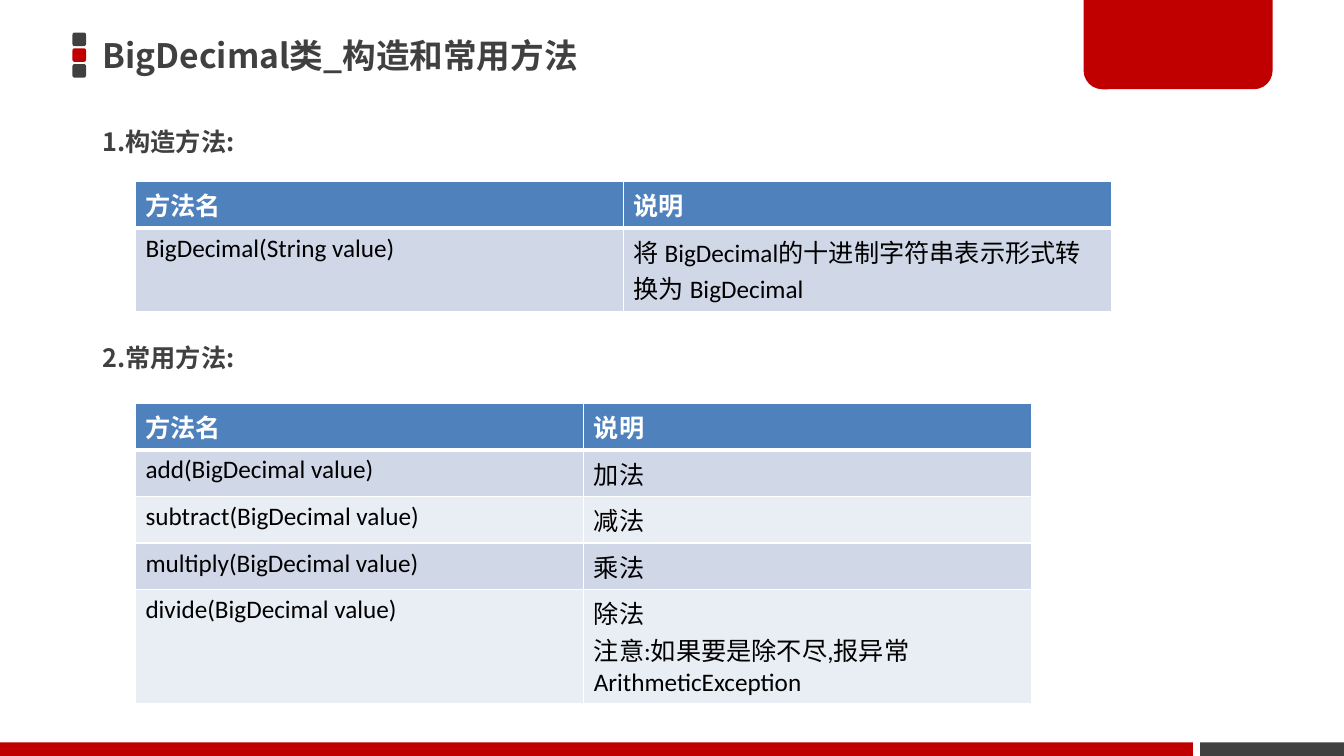
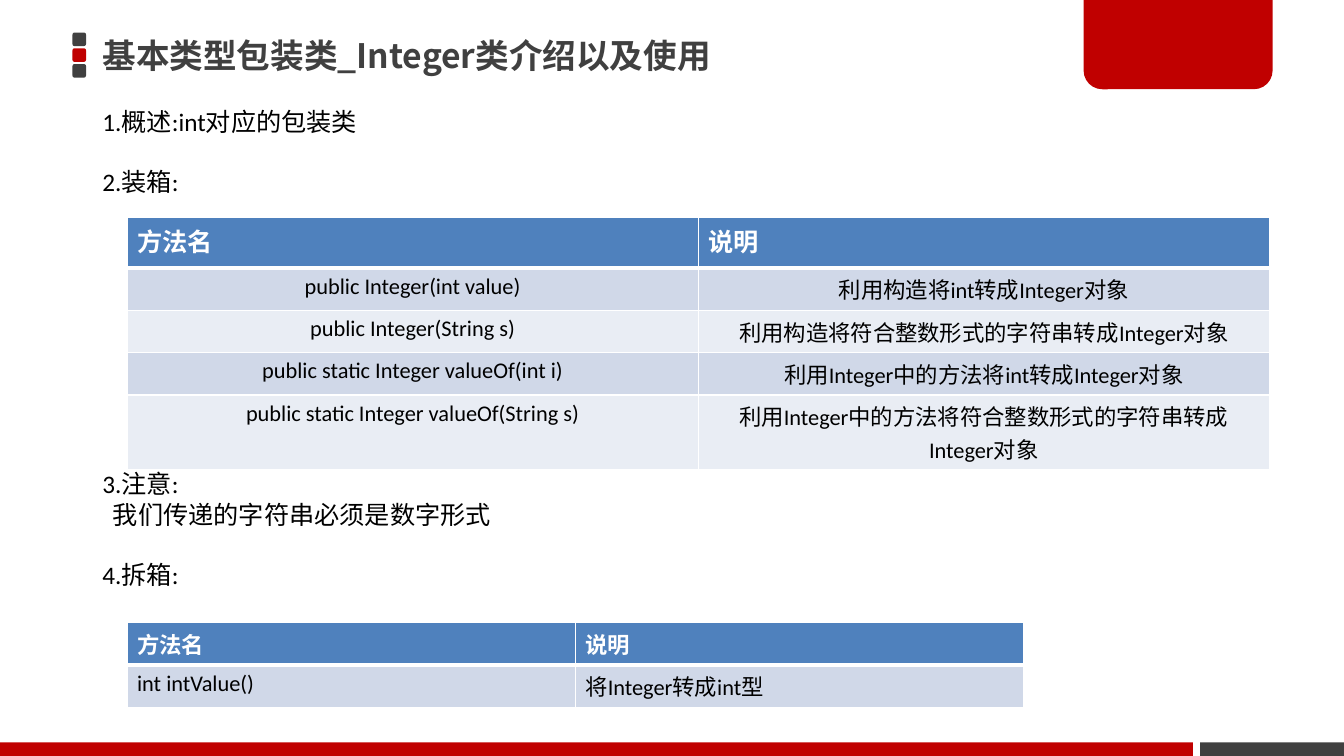
from dataclasses import dataclass

from lxml import etree
from pptx import Presentation
from pptx import util as u
from pptx.dml.color import RGBColor
from pptx.enum import shapes, text
from pptx.oxml import ns

PX = 9525
COLORS = {
    "dark": "404040",
    "red": "C00000",
    "white": "FFFFFF",
    "black": "000000",
    "header": "4F81BD",
    "band": "D0D8E8",
    "pale": "E9EDF4",
}
CJK = "Noto Sans CJK JP"
LATIN = "Calibri"
LINE_PT = 21.6
HEADER = ("方法名", "说明")


@dataclass(frozen=True)
class Box:
    x: int
    y: int
    w: int
    h: int


@dataclass(frozen=True)
class Style:
    size: int
    color: str
    font: str = LATIN
    bold: bool = False


@dataclass(frozen=True)
class Block:
    shape: shapes.MSO_SHAPE
    box: Box
    color: str
    adjustments: tuple[float, ...] = ()


@dataclass(frozen=True)
class Item:
    words: str
    gap_lines: int = 0
    indent: int = 0


@dataclass(frozen=True)
class ListBox:
    box: Box
    items: tuple[Item, ...]
    style: Style
    anchor: text.MSO_ANCHOR
    line_pt: float | None = None


@dataclass(frozen=True)
class MethodTable:
    box: Box
    rows: tuple[tuple[str, str], ...]
    header_size: int = 18
    body_size: int = 18
    header_height: int = 39
    align: text.PP_ALIGN = text.PP_ALIGN.LEFT


@dataclass(frozen=True)
class Page:
    title: str
    lists: tuple[ListBox, ...]
    tables: tuple[MethodTable, ...]


MS = shapes.MSO_SHAPE
DECOR = (
    *(Block(MS.ROUNDED_RECTANGLE, Box(69, 31 + 15 * i, 13, 13), color, (0.17,))
      for i, color in enumerate(("dark", "red", "dark"))),
    Block(MS.RECTANGLE, Box(1143, 707, 137, 13), "dark"),
    Block(MS.ROUND_2_SAME_RECTANGLE, Box(1032, 0, 180, 85), "red", (0, 0.21)),
    Block(MS.RECTANGLE, Box(0, 707, 1136, 13), "red"),
)
TITLE_BOX = Box(88, 25, 921, 55)
TITLE = Style(24, "dark", CJK, True)
SECTION = Style(18, "dark", CJK, True)
PLAIN = Style(18, "black")


def section(words: str, y: int) -> ListBox:
    return ListBox(Box(88, y, 1034, 55), (Item(words),), SECTION, text.MSO_ANCHOR.MIDDLE)


PAGES = (
    Page(
        "BigDecimal类_构造和常用方法",
        (section("1.构造方法:", 107), section("2.常用方法:", 313)),
        (
            MethodTable(Box(129, 173, 930, 107), (
                ("BigDecimal(String value)",
                 "将 BigDecimal的十进制字符串表示形式转换为 BigDecimal"),
            )),
            MethodTable(Box(129, 384, 854, 252), (
                ("add(BigDecimal value)", "加法"),
                ("subtract(BigDecimal value)", "减法"),
                ("multiply(BigDecimal value)", "乘法"),
                ("divide(BigDecimal value)",
                 "除法\n注意:如果要是除不尽,报异常ArithmeticException"),
            )),
        ),
    ),
    Page(
        "基本类型包装类_Integer类介绍以及使用",
        (
            ListBox(Box(88, 96, 733, 475), (
                Item("1.概述:int对应的包装类"),
                Item("2.装箱:", 1),
                Item("3.注意:", 9),
                Item("我们传递的字符串必须是数字形式", indent=10),
                Item("4.拆箱:", 1),
            ), PLAIN, text.MSO_ANCHOR.TOP, LINE_PT),
        ),
        (
            MethodTable(Box(121, 207, 1088, 226), (
                ("public Integer(int value)", "利用构造将int转成Integer对象"),
                ("public Integer(String s)",
                 "利用构造将符合整数形式的字符串转成Integer对象"),
                ("public static Integer valueOf(int i)",
                 "利用Integer中的方法将int转成Integer对象"),
                ("public static Integer valueOf(String s)",
                 "利用Integer中的方法将符合整数形式的字符串转成Integer对象"),
            ), body_size=16, header_height=48, align=text.PP_ALIGN.CENTER),
            MethodTable(Box(121, 593, 854, 78), (
                ("int intValue()", "将Integer转成int型"),
            ), header_size=16, body_size=16),
        ),
    ),
)


def rgb(name: str) -> RGBColor:
    return RGBColor.from_string(COLORS[name])


def emu(box: Box) -> tuple[int, int, int, int]:
    return box.x * PX, box.y * PX, box.w * PX, box.h * PX


def place(sp, box: Box) -> None:
    sp.left, sp.top, sp.width, sp.height = emu(box)


def format_runs(p, style: Style, align: text.PP_ALIGN = text.PP_ALIGN.LEFT) -> None:
    p.alignment = align
    for r in p.runs:
        r.font.size = u.Pt(style.size)
        r.font.bold = style.bold
        r.font.name = style.font
        r.font.color.rgb = rgb(style.color)
        ea = etree.SubElement(r.font._element, ns.qn("a:ea"))
        ea.set("typeface", CJK)


def paint_layout(slide) -> None:
    tree = slide.slide_layout.shapes.element
    for number, block in enumerate(DECOR, 100):
        sp = slide.shapes.add_shape(block.shape, *emu(block.box))
        sp.shadow.inherit = False
        sp.fill.solid()
        sp.fill.fore_color.rgb = rgb(block.color)
        sp.line.fill.background()
        for i, value in enumerate(block.adjustments):
            sp.adjustments[i] = value
        sp.element.xpath("./p:nvSpPr/p:cNvPr")[0].set("id", str(number))
        tree.append(sp.element)


def fill_title(sp, words: str) -> None:
    place(sp, TITLE_BOX)
    tf = sp.text_frame
    tf.text = words
    tf.vertical_anchor = text.MSO_ANCHOR.MIDDLE
    tf.auto_size = text.MSO_AUTO_SIZE.NONE
    format_runs(tf.paragraphs[0], TITLE)


def fill_list(sp, spec: ListBox) -> None:
    place(sp, spec.box)
    tf = sp.text_frame
    tf.text = "\n".join(item.words for item in spec.items)
    tf.word_wrap = True
    tf.vertical_anchor = spec.anchor
    tf.auto_size = text.MSO_AUTO_SIZE.NONE
    for p, item in zip(tf.paragraphs, spec.items):
        format_runs(p, spec.style)
        p.space_before = u.Pt(item.gap_lines * LINE_PT)
        if spec.line_pt:
            p.line_spacing = u.Pt(spec.line_pt)
        pr = p._p.get_or_add_pPr()
        pr.set("marL", str(item.indent * PX))
        pr.set("indent", "0")
        etree.SubElement(pr, ns.qn("a:buNone"))


def add_borders(cell, bottom_pt: int) -> None:
    pr = cell._tc.get_or_add_tcPr()
    for side, points in (("L", 1), ("R", 1), ("T", 1), ("B", bottom_pt)):
        line = etree.SubElement(pr, ns.qn(f"a:ln{side}"), w=str(u.Pt(points)))
        fill = etree.SubElement(line, ns.qn("a:solidFill"))
        etree.SubElement(fill, ns.qn("a:srgbClr"), val=COLORS["white"])


def draw_table(slide, spec: MethodTable) -> None:
    rows = (HEADER, *spec.rows)
    frame = slide.shapes.add_table(len(rows), len(HEADER), *emu(spec.box))
    table = frame.table
    for i, words in enumerate(rows):
        is_header = i == 0
        table.rows[i].height = (spec.header_height if is_header else 39) * PX
        fill = "header" if is_header else ("band" if i % 2 else "pale")
        style = (Style(spec.header_size, "white", bold=True) if is_header
                 else Style(spec.body_size, "black"))
        for cell, value in zip(table.rows[i].cells, words):
            add_borders(cell, 3 if is_header else 1)
            cell.fill.solid()
            cell.fill.fore_color.rgb = rgb(fill)
            cell.text_frame.text = value
            for p in cell.text_frame.paragraphs:
                format_runs(p, style, text.PP_ALIGN.LEFT if is_header else spec.align)
    frame.height = spec.box.h * PX


def draw_page(slide, page: Page) -> None:
    fill_title(slide.shapes.title, page.title)
    bodies = [sp for sp in slide.placeholders if sp.placeholder_format.idx > 0]
    for sp, spec in zip(bodies, page.lists):
        fill_list(sp, spec)
    for sp in bodies[len(page.lists):]:
        sp.element.getparent().remove(sp.element)
    for spec in page.tables:
        draw_table(slide, spec)


def main() -> None:
    prs = Presentation()
    prs.slide_width, prs.slide_height = 1280 * PX, 720 * PX
    layout = prs.slide_layouts.get_by_name("Two Content")
    slides = [prs.slides.add_slide(layout) for _ in PAGES]
    paint_layout(slides[0])
    for slide, page in zip(slides, PAGES):
        draw_page(slide, page)
    prs.save("out.pptx")


if __name__ == "__main__":
    main()
